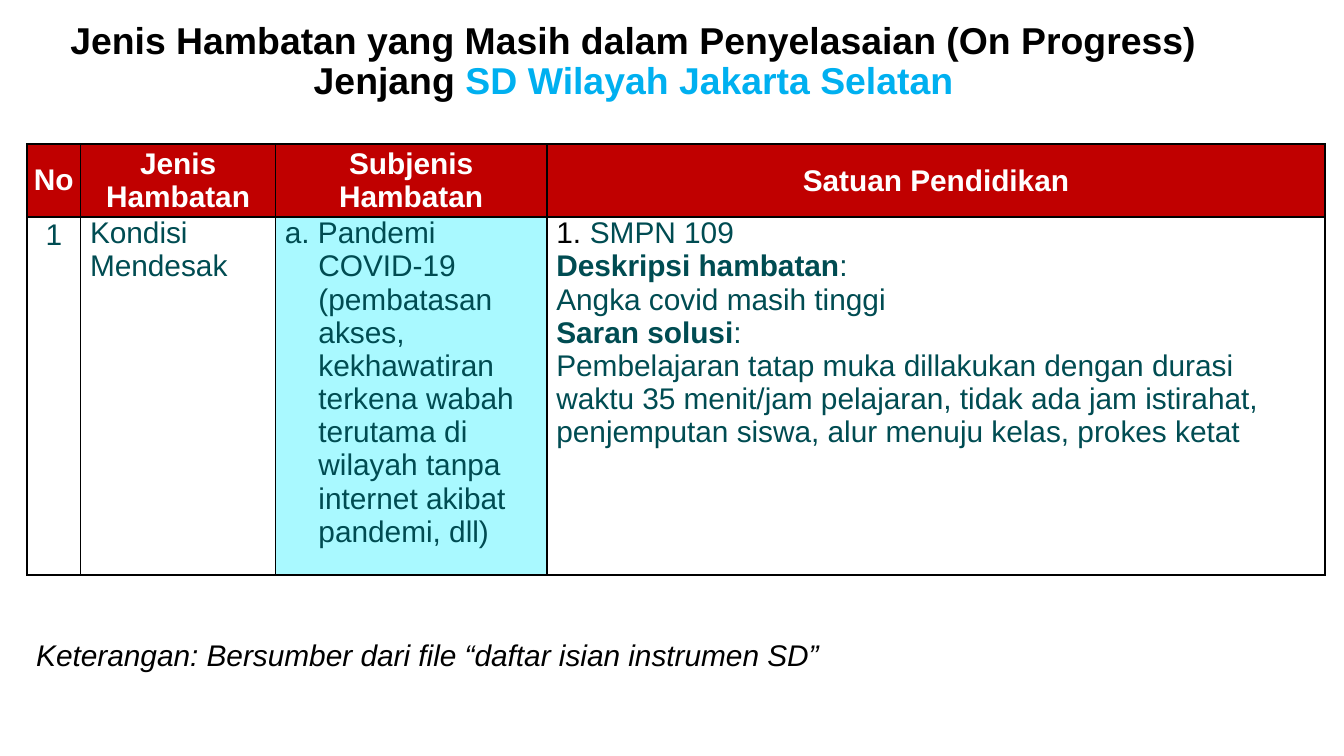
from dataclasses import dataclass

from lxml import etree
from pptx import Presentation
from pptx.dml.color import RGBColor
from pptx.enum.text import MSO_ANCHOR, PP_ALIGN
from pptx.oxml.ns import qn
from pptx.util import Inches, Pt

CENTER, LEFT = PP_ALIGN.CENTER, PP_ALIGN.LEFT
MIDDLE, TOP = MSO_ANCHOR.MIDDLE, MSO_ANCHOR.TOP


@dataclass(frozen=True)
class Theme:
    font: str = "Arial"
    black: str = "000000"
    white: str = "FFFFFF"
    sky: str = "00B0F0"
    red: str = "C00000"
    teal: str = "004C52"
    aqua: str = "A9F9FF"
    title_size: int = 20
    body_size: int = 16
    border: float = 1


THEME = Theme()


def add_spans(para, spans, size, italic=None):
    """Fill a paragraph from (text, colour, bold) tuples; a vertical tab breaks the line."""
    for text, color, bold in spans:
        for index, line in enumerate(text.split("\v")):
            if index:
                para.add_line_break()
            span = para.add_run()
            span.text = line
            span.font.name = THEME.font
            span.font.size = Pt(size)
            span.font.bold = bold
            span.font.italic = italic
            span.font.color.rgb = RGBColor.from_string(color)


def add_borders(cell):
    properties = cell._tc.get_or_add_tcPr()
    for index, side in enumerate(("lnL", "lnR", "lnT", "lnB")):
        line = etree.Element(qn(f"a:{side}"), w=str(Pt(THEME.border)))
        fill = etree.SubElement(line, qn("a:solidFill"))
        etree.SubElement(fill, qn("a:srgbClr"), val=THEME.black)
        properties.insert(index, line)


deck = Presentation()
deck.slide_width = Inches(10)
deck.slide_height = deck.slide_width * 9 // 16
page = deck.slides.add_slide(deck.slide_layouts[6])

# Title and source note
text_boxes = [
    ((0.09, 0.01, 9.25, 0.91), CENTER, THEME.title_size, None,
     [("Jenis Hambatan yang Masih dalam Penyelasaian (On Progress)\vJenjang ", THEME.black, True),
      ("SD Wilayah Jakarta Selatan", THEME.sky, True)]),
    ((0.2, 4.67, 9.17, 0.44), LEFT, THEME.body_size, True,
     [("Keterangan: Bersumber dari file “daftar isian instrumen SD”", THEME.black, False)]),
]
for place, align, size, italic, spans in text_boxes:
    frame = page.shapes.add_textbox(*map(Inches, place)).text_frame
    frame.word_wrap = True
    frame.vertical_anchor = MIDDLE
    frame.margin_left = frame.margin_right = Inches(0.07)
    frame.margin_top = frame.margin_bottom = Inches(0.04)
    para = frame.paragraphs[0]
    para.alignment = align
    para.line_spacing = 0.9
    add_spans(para, spans, size, italic)

# Table: each cell is a list of paragraphs, each paragraph a list of (text, bold)
headers = ["No", "Jenis Hambatan", "Subjenis Hambatan", "Satuan Pendidikan"]
rows = [
    [[[(header, True)]] for header in headers],
    [
        [[("1", False)]],
        [[("Kondisi Mendesak", False)]],
        [[("a. Pandemi COVID-19 (pembatasan akses, kekhawatiran terkena wabah "
           "terutama di wilayah tanpa internet akibat pandemi, dll)", False)]],
        [
            [("SMPN 109", False)],
            [("Deskripsi hambatan", True), (":", False)],
            [("Angka covid masih tinggi", False)],
            [("Saran solusi", True), (":", False)],
            [("Pembelajaran tatap muka dillakukan dengan durasi waktu 35 menit/jam "
              "pelajaran, tidak ada jam istirahat, penjemputan siswa, alur menuju "
              "kelas, prokes ketat", False)],
        ],
    ],
]
column_widths = [0.4, 1.45, 2.02, 5.79]
row_heights = [0.47, 1.64]

table_frame = page.shapes.add_table(
    len(rows), len(headers), Inches(0.2), Inches(1.07),
    Inches(sum(column_widths)), Inches(sum(row_heights)))
table = table_frame.table
table.first_row = table.horz_banding = False
for column, width in zip(table.columns, column_widths):
    column.width = Inches(width)
for row, height in zip(table.rows, row_heights):
    row.height = Inches(height)
table_frame.height = Inches(3.21)

for row_index, row in enumerate(rows):
    is_header = row_index == 0
    for column_index, paragraphs in enumerate(row):
        cell = table.cell(row_index, column_index)
        is_number = column_index == 0
        side_margin = 0 if is_number else 0.01 if is_header else 0.07
        cell.margin_left = cell.margin_right = Inches(side_margin)
        cell.margin_top = Inches(0.01 if is_header and not is_number else 0)
        cell.margin_bottom = 0
        cell.vertical_anchor = MIDDLE if is_header else TOP
        if is_header or column_index == 2:
            cell.fill.solid()
            cell.fill.fore_color.rgb = RGBColor.from_string(THEME.red if is_header else THEME.aqua)
        else:
            cell.fill.background()
        add_borders(cell)

        color = THEME.white if is_header else THEME.teal
        frame = cell.text_frame
        for index, pieces in enumerate(paragraphs):
            para = frame.add_paragraph() if index else frame.paragraphs[0]
            para.alignment = CENTER if is_header or is_number else LEFT
            if is_number and not is_header:
                para.line_spacing = 1.07
            add_spans(para, [(text, color, bold) for text, bold in pieces], THEME.body_size)

# Hanging indents, with automatic numbering for the school
for column_index in (2, 3):
    para = table.cell(1, column_index).text_frame.paragraphs[0]
    properties = para._p.get_or_add_pPr()
    properties.set("marL", str(Inches(0.25)))
    properties.set("indent", str(Inches(-0.25)))
bullet_color = etree.SubElement(properties, qn("a:buClr"))
etree.SubElement(bullet_color, qn("a:srgbClr"), val=THEME.black)
etree.SubElement(properties, qn("a:buFont"), typeface=THEME.font)
etree.SubElement(properties, qn("a:buAutoNum"), type="arabicPeriod")

deck.save("out.pptx")
